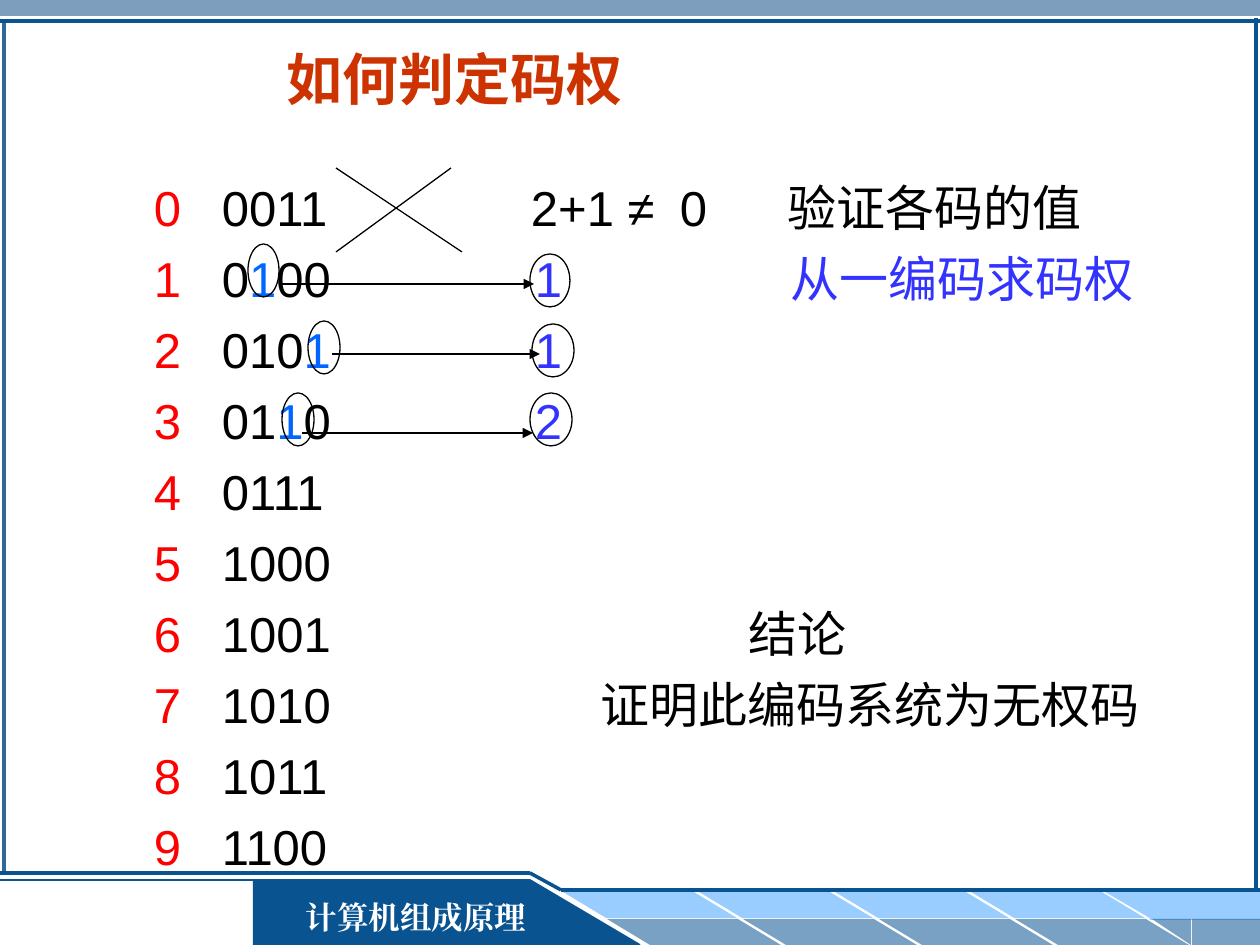
from dataclasses import dataclass

from lxml import etree
from pptx import Presentation
from pptx.dml.color import RGBColor
from pptx.enum.shapes import MSO_CONNECTOR, MSO_SHAPE
from pptx.enum.text import MSO_ANCHOR, PP_ALIGN
from pptx.oxml.ns import qn
from pptx.util import Pt

RECT, OVAL = MSO_SHAPE.RECTANGLE, MSO_SHAPE.OVAL
TRIANGLE, SLANT = MSO_SHAPE.RIGHT_TRIANGLE, MSO_SHAPE.PARALLELOGRAM
STRAIGHT = MSO_CONNECTOR.STRAIGHT
MIDDLE, CENTER, LEFT = MSO_ANCHOR.MIDDLE, PP_ALIGN.CENTER, PP_ALIGN.LEFT
PX = 914400 // 126


@dataclass(frozen=True)
class Theme:
    """Colours, fonts and type sizes of the deck."""
    navy: str = "095391"
    steel: str = "336699"
    sky: str = "99CCFF"
    white: str = "FFFFFF"
    black: str = "000000"
    red: str = "FF0000"
    rust: str = "CC3300"
    azure: str = "0066FF"
    violet: str = "3333FF"
    sans: str = "Arial"
    serif: str = "Times New Roman"
    title: int = 32
    body: int = 28
    label: int = 18


THEME = Theme()
CODE_STOP, RESULT_STOP = 68, 381
ROWS = [
    ("0011", None, [(377, "2+1 ≠", THEME.black), (526, "0", THEME.black),
                    (634, "验证各码的值", THEME.black)]),
    ("0100", 1, [(RESULT_STOP, "1", THEME.violet),
                 (637, "从一编码求码权", THEME.violet)]),
    ("0101", 3, [(RESULT_STOP, "1", THEME.violet)]),
    ("0110", 2, [(RESULT_STOP, "2", THEME.violet)]),
    ("0111", None, []),
    ("1000", None, []),
    ("1001", None, [(595, "结论", THEME.black)]),
    ("1010", None, [(447, "证明此编码系统为无权码", THEME.black)]),
    ("1011", None, []),
    ("1100", None, []),
]


def add_shape(page, kind, box, fill=None, alpha=None, line=None, flip=""):
    """Add a preset shape with optional fill, opacity, outline and flips."""
    shape = page.shapes.add_shape(kind, *(value * PX for value in box))
    shape.shadow.inherit = False
    if fill:
        shape.fill.solid()
        shape.fill.fore_color.rgb = RGBColor.from_string(fill)
    else:
        shape.fill.background()
    if alpha:
        color = shape.element.spPr.find(qn("a:solidFill"))[0]
        etree.SubElement(color, qn("a:alpha"), val=str(alpha * 1000))
    if line:
        shape.line.color.rgb = RGBColor.from_string(line)
        shape.line.width = Pt(0.75)
    else:
        shape.line.fill.background()
    for axis in flip:
        shape.element.spPr.get_or_add_xfrm().set("flip" + axis, "1")
    return shape


def add_line(page, start, end, color=THEME.navy, width=2, arrow=False):
    """Add a straight line, with an arrowhead at its end if asked."""
    points = [value * PX for value in (*start, *end)]
    line = page.shapes.add_connector(STRAIGHT, *points)
    line.line.color.rgb = RGBColor.from_string(color)
    line.line.width = Pt(width)
    if arrow:
        etree.SubElement(line.line._get_or_add_ln(), qn("a:tailEnd"), type="triangle")
    etree.SubElement(line.element.spPr, qn("a:effectLst"))


def add_span(para, text, size, color, font=THEME.sans, bold=False):
    """Append formatted text to a paragraph."""
    span = para.add_run()
    span.text = text
    span.font.size = Pt(size)
    span.font.bold = bold
    span.font.name = font
    span.font.color.rgb = RGBColor.from_string(color)
    latin = span.font._element.find(qn("a:latin"))
    latin.addnext(latin.makeelement(qn("a:ea"), {"typeface": font}))


def add_text_box(page, box, anchor=MSO_ANCHOR.TOP):
    """Add a wrapping text box and return its text frame."""
    frame = page.shapes.add_textbox(*(value * PX for value in box)).text_frame
    frame.word_wrap = True
    frame.vertical_anchor = anchor
    return frame


def add_heading(page, box, text, **style):
    """Add one centred line of bold text."""
    para = add_text_box(page, box, MIDDLE).paragraphs[0]
    para.alignment = CENTER
    add_span(para, text, bold=True, **style)


def add_frame(page, box):
    """Draw the top band and the rules around the page."""
    left, top, width, height = box
    add_shape(page, RECT, (left, top, width, 16), THEME.steel, 63)
    add_line(page, (left + 4, top + 19), (left + 4, top + 873), THEME.steel)
    add_line(page, (left, top + 21), (left + width, top + 21))
    add_line(page, (left + width - 4, top + 18), (left + width - 4, top + 891))


def add_footer(page, box):
    """Draw the course label and the two-tone slanted stripes."""
    left, top, width, height = box
    right = left + width
    add_shape(page, RECT, (left + 253, top + 7, 277, 65), THEME.navy)
    add_shape(page, TRIANGLE, (left + 529, top + 7, 110, 65), THEME.navy)
    add_line(page, (left + 640, top + height), (left + 530, top + 7), width=1)
    add_line(page, (left + 530, top + 7), (left, top + 7), width=1.5)
    add_line(page, (left, top), (left + 530, top))
    bands = [(563, 19, THEME.sky, None), (607, 46, THEME.navy, 54)]
    for column in range(4):
        for offset, drop, color, alpha in bands:
            place = (left + offset + column * 136, top + drop, 174, 26)
            stripe = add_shape(page, SLANT, place, color, alpha, flip="H")
            stripe.adjustments[0] = 1.66
    ends = [(1105, 48, 1150, 19, 28, THEME.sky, None),
            (1152, 39, 1192, 46, 26, THEME.navy, 54)]
    for tip, tip_width, block, drop, tall, color, alpha in ends:
        add_shape(page, TRIANGLE, (left + tip, top + drop, tip_width, tall),
                  color, alpha, flip="HV")
        add_shape(page, RECT, (left + block, top + drop, right - left - block, tall),
                  color, alpha)
    add_line(page, (left + 561, top + 17), (right, top + 17))
    add_line(page, (left + 530, top), (left + 561, top + 17))
    add_heading(page, (left + 287, top + 19, 258, 50), "计算机组成原理",
                size=THEME.label, color=THEME.white, font=THEME.serif)


def set_tab_stops(para, stops):
    """Give a paragraph left-aligned tab stops."""
    tabs = etree.SubElement(para._p.get_or_add_pPr(), qn("a:tabLst"))
    for stop in stops:
        etree.SubElement(tabs, qn("a:tab"), pos=str(stop * PX), algn="l")


def add_code_list(page, box):
    """Write each digit with its code and the notes beside it."""
    frame = add_text_box(page, box)
    frame.margin_left, frame.margin_top = 60 * PX, 12 * PX
    for digit, (code, marked, notes) in enumerate(ROWS):
        para = frame.add_paragraph() if digit else frame.paragraphs[0]
        para.alignment = LEFT
        set_tab_stops(para, [CODE_STOP] + [stop for stop, _, _ in notes])
        para.line_spacing = Pt(32)
        para.space_before = Pt(8.6 if digit else 0)
        spans = [(str(digit), THEME.red)]
        if marked is None:
            spans.append(("\t" + code, THEME.black))
        else:
            spans += [("\t" + code[:marked], THEME.black),
                      (code[marked], THEME.azure),
                      (code[marked + 1:], THEME.black)]
        spans += [("\t" + text, color) for _, text, color in notes]
        for text, color in spans:
            if text:
                add_span(para, text, THEME.body, color)


def add_marks(page, box):
    """Cross out the first row, then circle and link bits to weights."""
    left, top, width, height = box
    ink = {"color": THEME.black, "width": 0.75}
    add_line(page, (left + 357, top), (left + 242, top + 84), **ink)
    add_line(page, (left + 242, top), (left + 368, top + 84), **ink)
    circles = [(154, 76, 31), (436, 86, 40), (214, 153, 32),
               (438, 156, 42), (436, 225, 42), (188, 225, 32)]
    for across, down, wide in circles:
        add_shape(page, OVAL, (left + across, top + down, wide, 53), line=THEME.black)
    for start, end, down in [(188, 440, 116), (208, 439, 265), (238, 446, 186)]:
        add_line(page, (left + start, top + down), (left + end, top + down),
                 arrow=True, **ink)


def main():
    """Build the slide and save it."""
    deck = Presentation()
    deck.slide_width, deck.slide_height = 1260 * PX, 945 * PX
    page = deck.slides.add_slide(deck.slide_layouts[6])
    body = (94, 168, 1071, 712)
    add_frame(page, (0, 0, 1260, 945))
    add_footer(page, (0, 873, 1260, 72))
    add_heading(page, (86, 35, 738, 87), "如何判定码权",
                size=THEME.title, color=THEME.rust)
    add_code_list(page, body)
    add_marks(page, body)
    deck.save("out.pptx")


if __name__ == "__main__":
    main()
